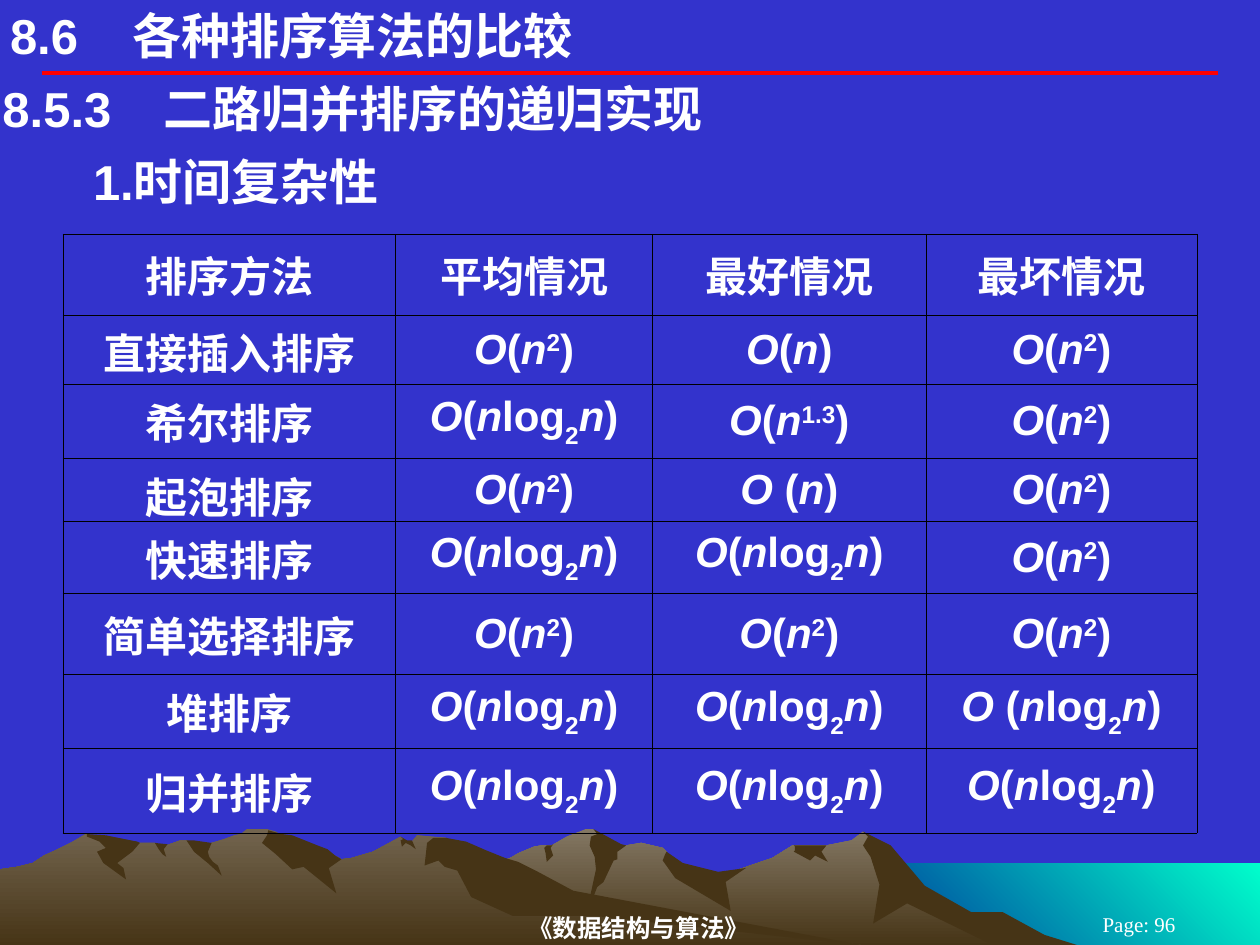
import pptx
import pptx.dml.color
import pptx.enum.shapes
import pptx.enum.text
import pptx.oxml
import pptx.oxml.ns
import pptx.util
from lxml import etree
from pptx.util import Inches

RGBColor = pptx.dml.color.RGBColor
BLUE = RGBColor(0x33, 0x33, 0xCC)
WHITE = RGBColor(0xFF, 0xFF, 0xFF)
RED = RGBColor(0xFF, 0x00, 0x00)
AQUA = RGBColor(0x00, 0xFF, 0xCC)
NAVY = RGBColor(0x00, 0x33, 0x99)
SAND = RGBColor(0x83, 0x77, 0x63)
STONE = RGBColor(0x72, 0x64, 0x4E)
BROWN = RGBColor(0x46, 0x34, 0x16)
BORDER = "000000"

MIDDLE = pptx.enum.text.MSO_ANCHOR.MIDDLE
TOP = pptx.enum.text.MSO_ANCHOR.TOP
CENTER = pptx.enum.text.PP_ALIGN.CENTER
LEFT = pptx.enum.text.PP_ALIGN.LEFT

SEA = [(10, 7.52), (6.83, 7.52), (6.83, 6.85), (10, 6.85)]
FAR_RANGE = [
    (8.02, 7.4), (7.78, 7.27), (7.64, 7.23), (7.23, 6.98), (7.02, 6.71), (6.85, 6.6),
    (6.76, 6.67), (6.56, 6.71), (6.29, 6.71), (6.13, 6.81), (5.66, 6.97), (5.36, 6.9),
    (5.29, 6.76), (5.26, 6.73), (5.09, 6.69), (4.97, 6.71), (4.86, 6.73), (4.74, 6.61),
    (4.71, 6.58), (4.65, 6.58), (4.5, 6.64), (4.38, 6.71), (4.3, 6.71), (4.24, 6.72),
    (4.12, 6.77), (4.05, 6.81), (3.94, 6.85), (3.55, 6.98), (3.27, 7.09), (2.77, 7.39),
    (2.58, 7.51), (8.21, 7.51)]
FAR_SHADES = [
    [(7.96, 7.24), (7.71, 7.24), (7.34, 7.03), (7.07, 6.71), (6.85, 6.6), (6.89, 6.64),
     (6.85, 6.71), (6.91, 6.8), (6.98, 7.02), (6.93, 7.33), (7.2, 7.17), (7.92, 7.52),
     (8.58, 7.51), (8.29, 7.42)],
    [(4.71, 6.58), (4.74, 6.62), (4.69, 6.64), (4.68, 6.71), (4.72, 6.8), (4.73, 6.9),
     (4.65, 7.27), (4.74, 7.04), (4.79, 7), (4.87, 6.83), (4.9, 6.82), (4.9, 6.76),
     (4.97, 6.71), (4.93, 6.7)],
    [(5.29, 6.76), (5.28, 6.78), (5.26, 6.83), (5.36, 6.97), (5.8, 7.23), (5.76, 7),
     (5.92, 6.89), (5.7, 6.92), (5.42, 6.85)],
    [(6.5, 6.71), (6.3, 6.71), (6.31, 6.72), (6.31, 6.75), (6.3, 6.76), (6.43, 6.83),
     (6.47, 6.79), (6.57, 6.84), (6.52, 6.76), (6.56, 6.71)],
    [(4.33, 6.77), (4.32, 6.73), (4.34, 6.71), (4.38, 6.71), (4.39, 6.7), (4.37, 6.73),
     (4.39, 6.79), (4.34, 6.84)],
]
NEAR_RANGE = [
    (6.9, 7.51), (6.67, 7.48), (4.32, 7.12), (3.54, 6.65), (3.31, 6.63), (3.27, 6.68),
    (3.23, 6.68), (3.18, 6.64), (2.96, 6.76), (2.79, 6.81), (2.71, 6.82), (2.6, 6.76),
    (2.36, 6.81), (2.23, 6.63), (2.19, 6.6), (2.12, 6.58), (1.96, 6.58), (1.91, 6.62),
    (1.86, 6.63), (1.78, 6.66), (1.68, 6.69), (1.6, 6.71), (1.48, 6.67), (1.43, 6.67),
    (1.32, 6.71), (1.28, 6.71), (1.23, 6.69), (1.11, 6.69), (0.94, 6.71), (0.68, 6.62),
    (0.56, 6.69), (0.46, 6.74), (0.35, 6.79), (0.26, 6.85), (0.14, 6.88), (0, 6.9),
    (0, 7.51)]
NEAR_SHADES = [
    [(2.12, 6.63), (2.08, 6.69), (2.19, 6.78), (2.32, 6.9), (2.41, 6.88), (2.67, 7.09),
     (2.61, 6.89), (2.71, 6.82), (2.66, 6.79), (2.6, 6.74), (2.52, 6.71), (2.32, 6.63),
     (2.24, 6.62), (2.13, 6.59)],
    [(3.7, 6.68), (3.54, 6.65), (3.44, 6.65), (3.39, 6.69), (3.37, 6.87), (3.48, 6.83),
     (3.53, 6.88), (3.63, 6.91), (3.74, 7.12), (4.07, 7.27), (4.72, 7.27), (6.9, 7.51),
     (6.83, 7.5), (4.55, 7.07), (4.27, 6.92), (4.11, 6.84), (4.01, 6.81), (3.86, 6.75)],
    [(3.18, 6.67), (3.2, 6.66), (3.18, 6.64), (3.23, 6.67), (3.27, 6.67), (3.3, 6.74),
     (3.26, 6.71), (3.22, 6.69), (3.19, 6.72)],
    [(1.54, 6.67), (1.61, 6.68), (1.68, 6.69), (1.65, 6.76), (1.66, 6.8), (1.69, 6.84),
     (1.73, 6.87), (1.76, 6.95), (1.65, 6.85), (1.54, 6.76), (1.48, 6.67)],
    [(1.33, 6.7), (1.3, 6.74), (1.32, 6.8), (1.29, 6.78), (1.26, 6.74), (1.23, 6.69)],
    [(1.09, 6.68), (1.11, 6.69), (1.05, 6.76), (0.93, 6.85), (0.98, 6.89), (1, 6.98),
     (0.82, 6.85), (0.77, 6.76), (0.84, 6.73), (0.79, 6.68), (0.69, 6.64), (0.69, 6.62),
     (0.84, 6.63), (0.94, 6.65)],
]

# Spans are parted by "|"; "^" raises a span and "_" lowers it.
LINEAR = "O|(|n|)"
LINEAR_SPACED = "O |(|n|)"
SQUARE = "O|(|n|^2|)"
POWER = "O|(|n|^1.3|)"
NLOGN = "O|(|n|log|_2|n|)"
NLOGN_SPACED = "O |(|n|log|_2|n|)"
COMPLEXITY = [
    ("排序方法", "平均情况", "最好情况", "最坏情况"),
    ("直接插入排序", SQUARE, LINEAR, SQUARE),
    ("希尔排序", NLOGN, POWER, SQUARE),
    ("起泡排序", SQUARE, LINEAR_SPACED, SQUARE),
    ("快速排序", NLOGN, NLOGN, SQUARE),
    ("简单选择排序", SQUARE, SQUARE, SQUARE),
    ("堆排序", NLOGN, NLOGN, NLOGN_SPACED),
    ("归并排序", NLOGN, NLOGN, NLOGN),
]
COLUMN_WIDTHS = [2.64, 2.04, 2.17, 2.15]
ROW_HEIGHTS = [0.64, 0.55, 0.59, 0.49, 0.56, 0.64, 0.59, 0.67]


def set_font(para, size, name="Arial", bold=True):
    font = para.font
    font.size, font.name, font.bold = pptx.util.Pt(size), name, bold
    font.color.rgb = WHITE


def add_outline(shapes, points, colors, angle=270):
    """Closed outline in one colour, or in a gradient between two."""
    corners = [(Inches(x), Inches(y)) for x, y in points]
    builder = shapes.build_freeform(*corners[0])
    builder.add_line_segments(corners[1:], close=True)
    shape = builder.convert_to_shape()
    shape.shadow.inherit = False
    shape.line.fill.background()
    if len(colors) == 1:
        shape.fill.solid()
        shape.fill.fore_color.rgb = colors[0]
        return
    shape.fill.gradient()
    shape.fill.gradient_angle = angle
    for stop, color, position in zip(shape.fill.gradient_stops, colors, (0, 1)):
        stop.color.rgb = color
        stop.position = position


def add_mountains(page, outline, peak_color, shades):
    group = page.shapes.add_group_shape()
    add_outline(group.shapes, outline, [peak_color, BROWN])
    for shade in shades:
        add_outline(group.shapes, shade, [BROWN])


def add_rule(page):
    rule = page.shapes.add_connector(pptx.enum.shapes.MSO_CONNECTOR.STRAIGHT,
                                     Inches(0.33), Inches(0.58), Inches(9.67), Inches(0.58))
    rule.line.color.rgb = RED
    rule.line.width = pptx.util.Pt(2.25)
    etree.SubElement(rule._element.spPr, pptx.oxml.ns.qn("a:effectLst"))


def add_text(page, text, place, insets, size=28, name="Arial", bold=True,
             align=LEFT, anchor=TOP, tab=None, indent=None):
    box = page.shapes.add_textbox(*map(Inches, place))
    frame = box.text_frame
    frame.word_wrap = True
    frame.vertical_anchor = anchor
    frame.margin_left = frame.margin_right = Inches(insets[0])
    frame.margin_top = frame.margin_bottom = Inches(insets[1])
    para = frame.paragraphs[0]
    para.alignment = align
    para.add_run().text = text
    properties = para._p.get_or_add_pPr()
    if indent:
        properties.set("marL", str(Inches(indent)))
        properties.set("indent", "0")
    if tab:
        stops = etree.SubElement(properties, pptx.oxml.ns.qn("a:tabLst"))
        etree.SubElement(stops, pptx.oxml.ns.qn("a:tab"), pos=str(Inches(tab)), algn="l")
    set_font(para, size, name, bold)


def fill_cell(cell, text):
    cell.vertical_anchor = MIDDLE
    para = cell.text_frame.paragraphs[0]
    para.alignment = CENTER
    set_font(para, 24)
    for part in text.split("|"):
        span = para.add_run()
        span.text = part.lstrip("^_")
        if part.strip() in ("O", "n"):
            span.font.italic = True
        if part[0] in "^_":
            span.font._element.set("baseline", "30000" if part[0] == "^" else "-30000")
    properties = cell._tc.get_or_add_tcPr()
    for side in ("lnL", "lnR", "lnT", "lnB"):
        properties.append(pptx.oxml.parse_xml(
            f'<a:{side} {pptx.oxml.ns.nsdecls("a")} w="5715"><a:solidFill>'
            f'<a:srgbClr val="{BORDER}"/></a:solidFill></a:{side}>'))
    cell.fill.background()


def add_complexity_table(page):
    table = page.shapes.add_table(len(ROW_HEIGHTS), len(COLUMN_WIDTHS), Inches(0.5), Inches(1.86),
                                  Inches(sum(COLUMN_WIDTHS)), Inches(sum(ROW_HEIGHTS))).table
    table.first_row = table.horz_banding = False
    for column, width in zip(table.columns, COLUMN_WIDTHS):
        column.width = Inches(width)
    for row, height, texts in zip(table.rows, ROW_HEIGHTS, COMPLEXITY):
        row.height = Inches(height)
        for cell, text in zip(row.cells, texts):
            fill_cell(cell, text)


def main():
    deck = pptx.Presentation()
    deck.slide_width, deck.slide_height = Inches(10), Inches(7.5)
    page = deck.slides.add_slide(deck.slide_layouts[6])
    page.background.fill.solid()
    page.background.fill.fore_color.rgb = BLUE

    add_outline(page.shapes, SEA, [AQUA, NAVY], angle=225)
    add_mountains(page, FAR_RANGE, SAND, FAR_SHADES)
    add_mountains(page, NEAR_RANGE, STONE, NEAR_SHADES)
    add_rule(page)
    add_text(page, "《数据结构与算法》", (2.08, 7.22, 5.98, 0.28), (0, 0.01), size=14,
             name="Times New Roman", align=CENTER, anchor=MIDDLE)
    add_text(page, "Page: 96", (8.25, 7.25, 1.58, 0.17), (0.1, 0.05), size=12,
             name="Times New Roman", bold=False, align=CENTER, anchor=MIDDLE)
    add_text(page, "8.6\t各种排序算法的比较", (0.08, 0.04, 6.5, 0.47), (0, 0), tab=0.97)
    add_text(page, "8.5.3\t二路归并排序的递归实现", (0, 0.61, 10, 0.49), (0.02, 0.01), tab=1.28)
    add_text(page, "1.时间复杂性", (0, 1.15, 10, 0.57), (0.1, 0.05), indent=0.64)
    add_complexity_table(page)
    deck.save("out.pptx")


if __name__ == "__main__":
    main()
